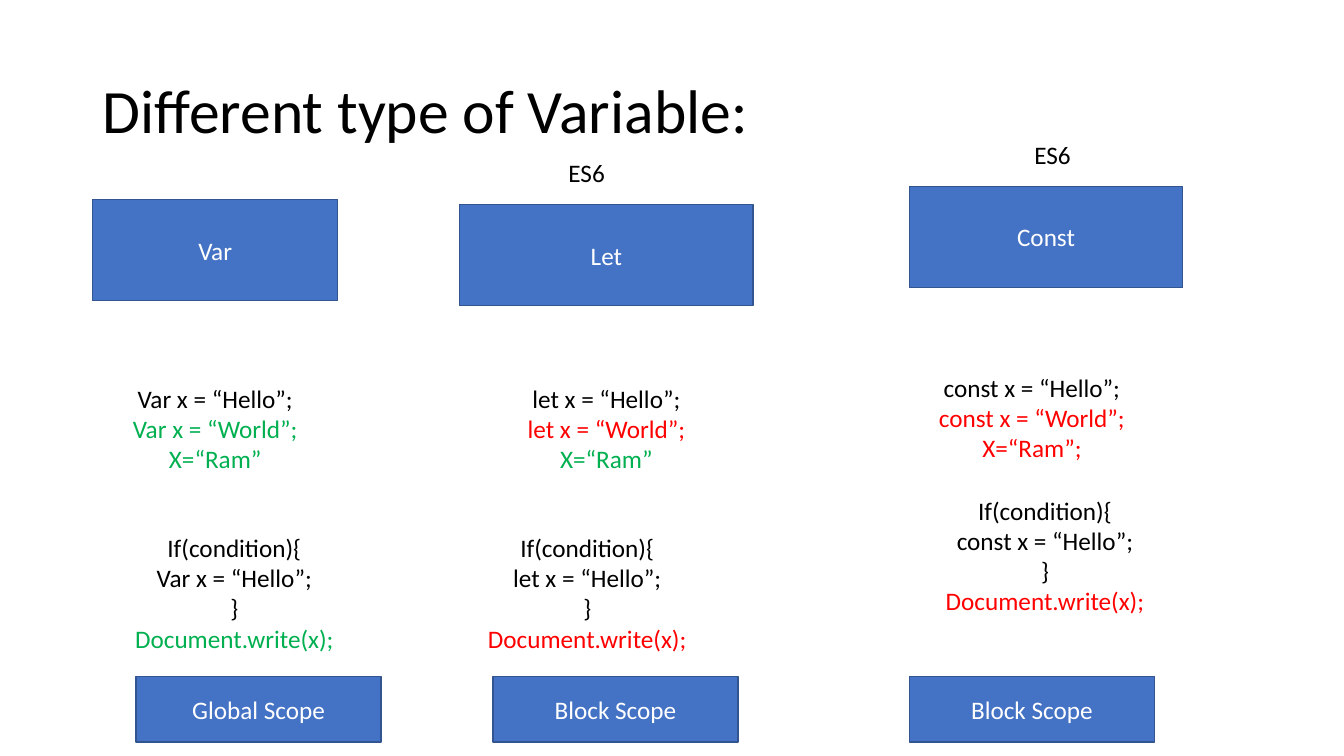
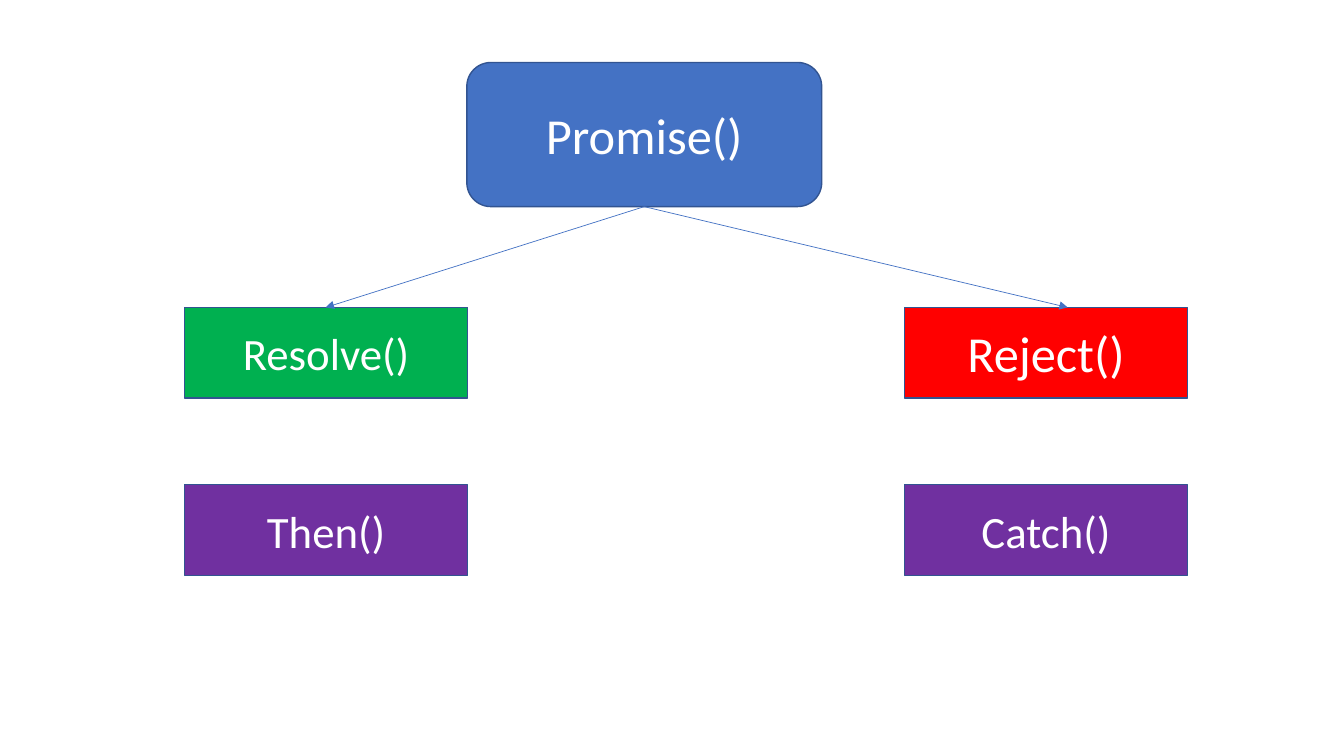
from dataclasses import dataclass
from typing import Optional

from lxml import etree
from pptx import Presentation
from pptx.dml.color import RGBColor
from pptx.enum.shapes import MSO_CONNECTOR as Connector, MSO_SHAPE as Shape
from pptx.enum.text import MSO_ANCHOR as Anchor, MSO_AUTO_SIZE as AutoSize, PP_ALIGN as Align
from pptx.oxml.ns import qn
from pptx.util import Inches, Pt

# Shared style
FONT = "Calibri"
COLORS = {
    "blue": "4472C4",
    "edge": "325491",
    "green": "00B050",
    "red": "FF0000",
    "purple": "7030A0",
    "black": "000000",
    "white": "FFFFFF",
}
BLOCK_WIDTH = 2.43
BOTTOM_SITE = 2


def color(name):
    return RGBColor.from_string(COLORS[name])


def write(frame, lines, size, align=Align.CENTER):
    """Fill a frame with one paragraph for each (text, colour) line."""
    for index, (text, tone) in enumerate(lines):
        para = frame.paragraphs[0] if index == 0 else frame.add_paragraph()
        para.text = text
        para.alignment = align
        para.font.name = FONT
        para.font.size = Pt(size)
        para.font.color.rgb = color(tone)


def add_text(page, left, top, width, height, lines, size=18, align=Align.CENTER, wrap=True):
    box = page.shapes.add_textbox(Inches(left), Inches(top), Inches(width), Inches(height))
    frame = box.text_frame
    frame.word_wrap = wrap
    frame.auto_size = AutoSize.SHAPE_TO_FIT_TEXT
    write(frame, lines, size, align)
    return box


def add_title(page, text):
    box = add_text(page, 0.92, 0.4, 11.5, 1.45, [(text, "black")], 44, Align.LEFT)
    frame = box.text_frame
    frame.auto_size = AutoSize.NONE
    frame.vertical_anchor = Anchor.MIDDLE
    frame.paragraphs[0].line_spacing = 0.9


def add_block(page, left, top, width, height, text, fill="blue", size=18, kind=Shape.RECTANGLE):
    block = page.shapes.add_shape(kind, Inches(left), Inches(top), Inches(width), Inches(height))
    block.shadow.inherit = False
    block.fill.solid()
    block.fill.fore_color.rgb = color(fill)
    block.line.color.rgb = color("edge")
    block.line.width = Pt(1)
    block.text_frame.word_wrap = True
    block.text_frame.vertical_anchor = Anchor.MIDDLE
    write(block.text_frame, [(text, "white")], size)
    return block


def add_arrow(page, source, end_x, end_y):
    """Draw an arrow from the bottom of the source block to a point."""
    arrow = page.shapes.add_connector(Connector.STRAIGHT, 0, 0, Inches(end_x), Inches(end_y))
    arrow.begin_connect(source, BOTTOM_SITE)
    arrow.line.color.rgb = color("blue")
    arrow.line.width = Pt(0.5)
    etree.SubElement(arrow.line._get_or_add_ln(), qn("a:tailEnd"), type="triangle")
    etree.SubElement(arrow._element.spPr, qn("a:effectLst"))


@dataclass
class Variable:
    """One keyword column; the lefts of its lower parts are offsets."""
    keyword: str
    left: float
    top: float
    width: float
    declare: str
    redeclare_tone: str
    assign: str
    assign_tone: str
    code_offset: float
    code_top: float
    condition_offset: float
    condition_top: float
    outside_tone: str
    scope: str
    scope_offset: float
    edition_offset: Optional[float] = None


VARIABLES = [
    Variable("Var", 0.92, 1.98, 2.43, "Var", "green", "X=“Ram”", "green",
             0, 3.75, 0.19, 5.23, "green", "Global Scope", 0.43),
    Variable("Let", 4.56, 2.03, 2.91, "let", "red", "X=“Ram”", "green",
             0.24, 3.75, 0.05, 5.23, "red", "Block Scope", 0.33, 0.98),
    Variable("Const", 9.02, 1.85, 2.71, "const", "red", "X=“Ram”;", "red",
             0, 3.64, 0.13, 4.86, "red", "Block Scope", 0, 1.14),
]


def add_variable(page, item):
    # Keyword and language edition
    add_block(page, item.left, item.top, item.width, 1, item.keyword)
    if item.edition_offset is not None:
        add_text(page, item.left + item.edition_offset, item.top - 0.52, 0.57, 0.4,
                 [("ES6", "black")], align=Align.LEFT, wrap=False)

    # Declaring and assigning again
    hello = f"{item.declare} x = “Hello”;"
    add_text(page, item.left + item.code_offset, item.code_top, BLOCK_WIDTH, 1.01, [
        (hello, "black"),
        (f"{item.declare} x = “World”;", item.redeclare_tone),
        (item.assign, item.assign_tone),
    ])

    # Reading outside the condition
    add_text(page, item.left + item.condition_offset, item.condition_top, BLOCK_WIDTH, 1.31, [
        ("If(condition){", "black"),
        (hello, "black"),
        ("}", "black"),
        ("Document.write(x);", item.outside_tone),
    ])

    # Scope
    add_block(page, item.left + item.scope_offset, 6.71, BLOCK_WIDTH, 0.65, item.scope)


def add_branch(page, promise, left, top, outcome, handler, arrow_offset):
    """Stack an outcome over its handler and point the promise at it."""
    for row, (text, fill, size) in enumerate([outcome, handler]):
        add_block(page, left, top + row * 1.76, 2.81, 0.9, text, fill, size)
    add_arrow(page, promise, left + arrow_offset, top)


def variables_slide(page):
    add_title(page, "Different type of Variable:")
    for item in VARIABLES:
        add_variable(page, item)


def promise_slide(page):
    promise = add_block(page, 4.63, 0.62, 3.52, 1.43, "Promise()", "blue", 36,
                        Shape.ROUNDED_RECTANGLE)
    add_branch(page, promise, 1.83, 3.05, ("Resolve()", "green", 32),
               ("Then()", "purple", 32), 1.4)
    add_branch(page, promise, 8.97, 3.05, ("Reject()", "red", 36),
               ("Catch()", "purple", 32), 1.62)


deck = Presentation()
deck.slide_width = Inches(13.33)
deck.slide_height = Inches(7.5)
for build in (variables_slide, promise_slide):
    build(deck.slides.add_slide(deck.slide_layouts[6]))
deck.save("out.pptx")
